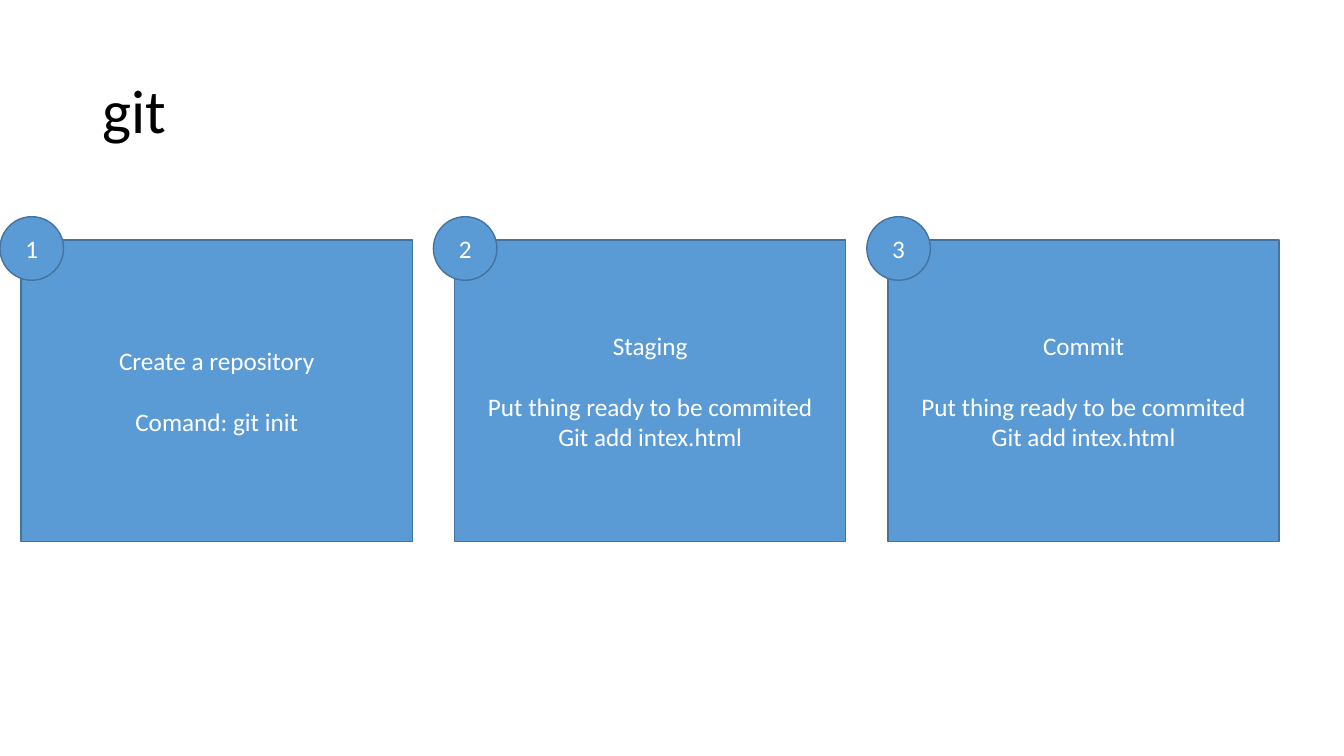
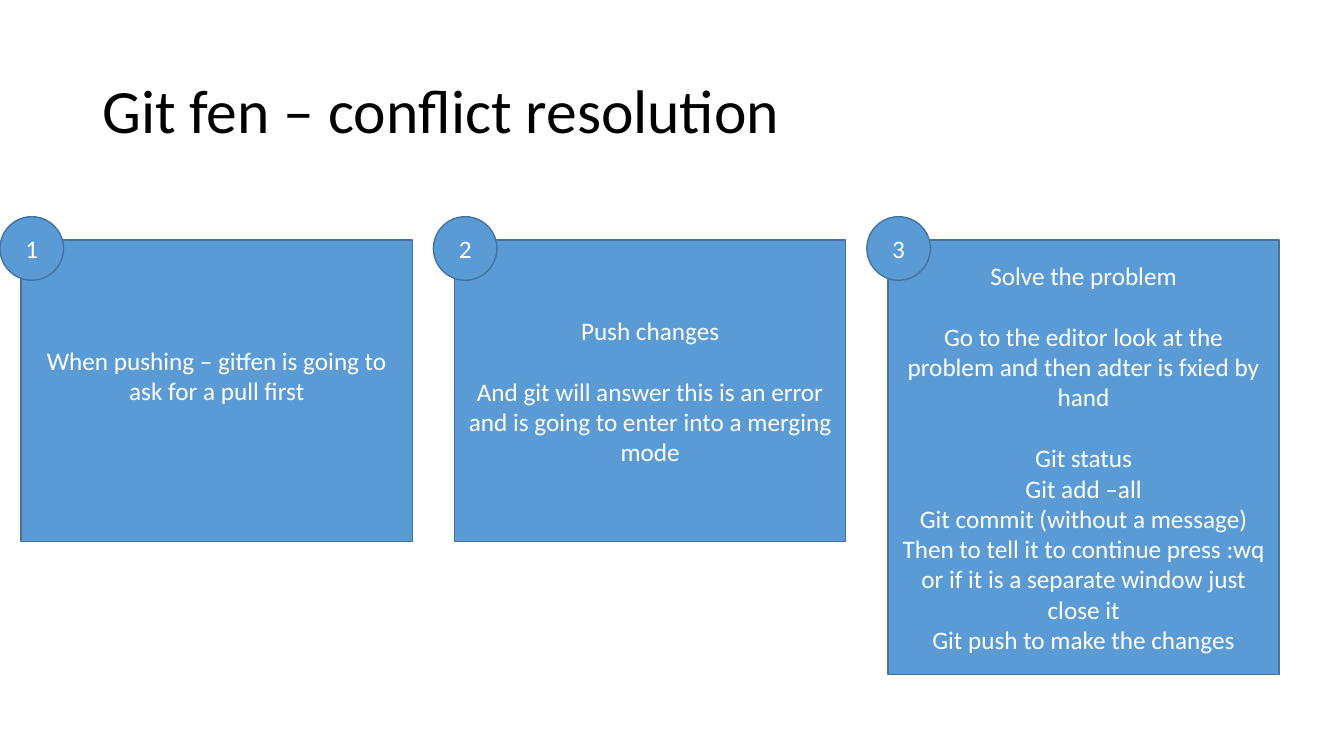
from pptx import Presentation
from pptx.dml.color import RGBColor
from pptx.enum.shapes import MSO_SHAPE
from pptx.enum.text import MSO_ANCHOR, PP_ALIGN
from pptx.util import Pt

COLORS = {"card": "5B9BD5", "outline": "43739E", "title": "000000", "label": "FFFFFF"}
FONT = "Calibri"

# Step grid, in points
CARD_LEFT, CARD_TOP, CARD_WIDTH, CARD_HEIGHT = 15.1, 171.4, 279.4, 215.3
TALL_HEIGHT = 310.3
BADGE_TOP, BADGE_SIZE = 154.8, 45.4
STEP_PITCH = 309.6
LINE_GAP = 22
BOTTOM_INSET = 3.6


class Deck:
    """Holds the shared style and the current slide."""

    def __init__(self):
        self.presentation = Presentation()
        self.presentation.slide_width = Pt(960)
        self.presentation.slide_height = Pt(540)
        self.slide = None

    def style(self, paragraph, text, size, color):
        paragraph.text = text
        paragraph.font.name = FONT
        paragraph.font.size = Pt(size)
        paragraph.font.color.rgb = RGBColor.from_string(COLORS[color])

    def new_slide(self, heading):
        self.slide = self.presentation.slides.add_slide(self.presentation.slide_layouts[6])
        title = self.slide.shapes.add_textbox(Pt(66), Pt(28.8), Pt(828), Pt(104.4))
        frame = title.text_frame
        frame.word_wrap = True
        frame.vertical_anchor = MSO_ANCHOR.MIDDLE
        self.style(frame.paragraphs[0], heading, 44, "title")
        frame.paragraphs[0].line_spacing = 0.9

    def panel(self, kind, left, top, width, height, groups):
        """Draws a filled shape; groups of paragraphs are one line apart."""
        panel = self.slide.shapes.add_shape(kind, Pt(left), Pt(top), Pt(width), Pt(height))
        panel.shadow.inherit = False
        panel.fill.solid()
        panel.fill.fore_color.rgb = RGBColor.from_string(COLORS["card"])
        panel.line.color.rgb = RGBColor.from_string(COLORS["outline"])
        panel.line.width = Pt(1)
        frame = panel.text_frame
        frame.word_wrap = True
        frame.vertical_anchor = MSO_ANCHOR.MIDDLE
        paragraph = None
        for group in groups:
            for index, text in enumerate(group):
                starts_gap = paragraph is not None and index == 0
                paragraph = frame.paragraphs[0] if paragraph is None else frame.add_paragraph()
                self.style(paragraph, text, 18, "label")
                paragraph.alignment = PP_ALIGN.CENTER
                if starts_gap:
                    paragraph.space_before = Pt(LINE_GAP)
        return frame

    def step(self, number, groups, height=CARD_HEIGHT, raised=0):
        """Draws a card with its number badge; raised lifts the text."""
        offset = (number - 1) * STEP_PITCH
        card = self.panel(MSO_SHAPE.RECTANGLE, CARD_LEFT + offset, CARD_TOP,
                          CARD_WIDTH, height, groups)
        card.margin_bottom = Pt(BOTTOM_INSET + raised)
        self.panel(MSO_SHAPE.OVAL, offset, BADGE_TOP, BADGE_SIZE, BADGE_SIZE, [[str(number)]])

    def save(self):
        self.presentation.save("out.pptx")


def main():
    deck = Deck()

    # Basic workflow
    deck.new_slide("git")
    add_file = ["Put thing ready to be commited", "Git add intex.html"]
    deck.step(1, [["Create a repository"], ["Comand: git init"]])
    deck.step(2, [["Staging"], add_file])
    deck.step(3, [["Commit"], add_file])

    # Conflict resolution
    deck.new_slide("Git fen – conflict resolution")
    deck.step(1, [["When pushing – gitfen is going to ask for a pull first"]], raised=LINE_GAP)
    deck.step(2, [
        ["Push changes"],
        ["And git will answer this is an error and is going to enter into a merging mode"],
    ])
    deck.step(3, [
        ["Solve the problem"],
        ["Go to the editor look at the problem and then adter is fxied by hand"],
        ["Git status",
         "Git add –all",
         "Git commit (without a message)",
         "Then to tell it to continue press :wq or if it is a separate window just close it",
         "Git push to make the changes"],
    ], height=TALL_HEIGHT)

    deck.save()


if __name__ == "__main__":
    main()
